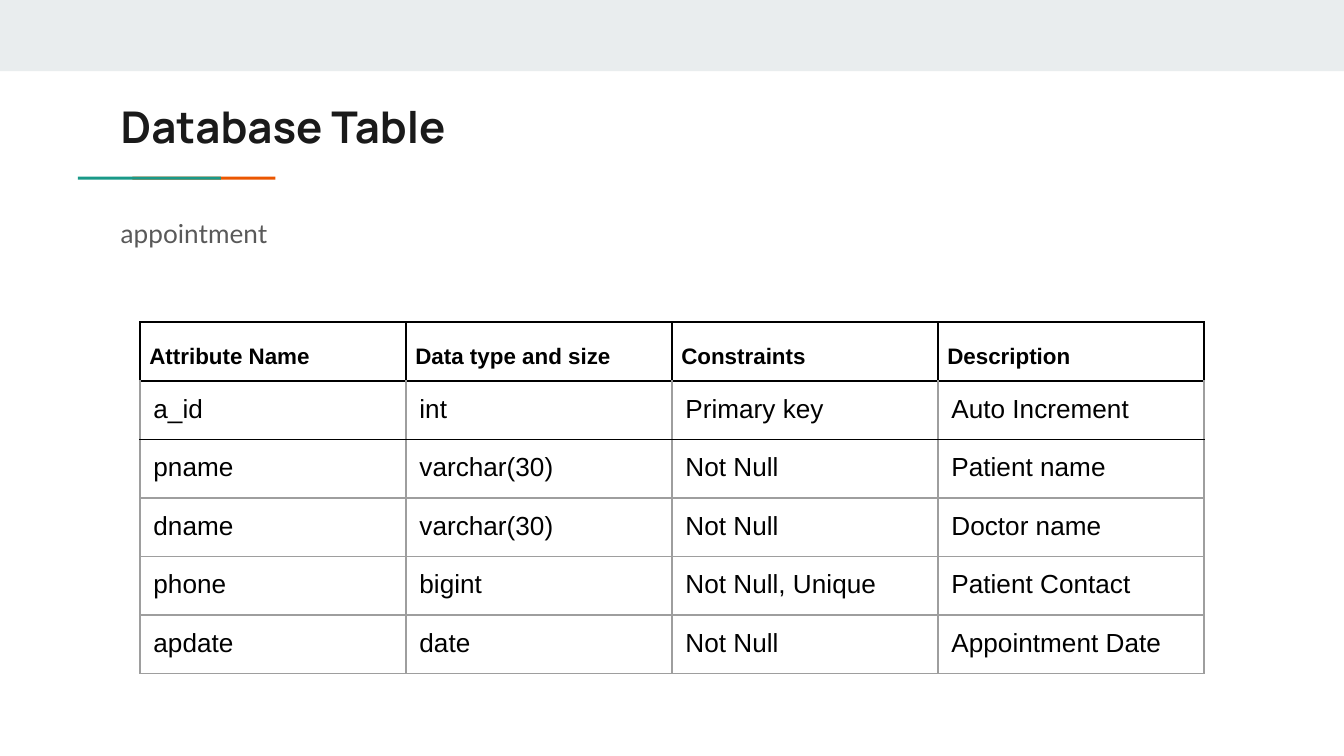
from lxml import etree
from pptx import Presentation
from pptx.dml.color import RGBColor
from pptx.enum.shapes import MSO_SHAPE
from pptx.enum.text import MSO_ANCHOR
from pptx.oxml.ns import qn
from pptx.util import Pt

RECTANGLE = MSO_SHAPE.RECTANGLE
TOP, MIDDLE = MSO_ANCHOR.TOP, MSO_ANCHOR.MIDDLE

COLORS = {
    "band": "E9EDEE", "teal": "1A9988", "orange": "EB5600", "title": "1A1A1A",
    "body": "595959", "black": "000000", "grid": "9E9E9E",
}

ROWS = [
    ["Attribute Name", "Data type and size", "Constraints", "Description"],
    ["a_id", "int", "Primary key", "Auto Increment"],
    ["pname", "varchar(30)", "Not Null", "Patient name"],
    ["dname", "varchar(30)", "Not Null", "Doctor name"],
    ["phone", "bigint", "Not Null, Unique", "Patient Contact"],
    ["apdate", "date", "Not Null", "Appointment Date"],
]
COLUMN_WIDTH, HEADER_HEIGHT, ROW_HEIGHT = 142.5, 30, 31.4


def rgb(name):
    return RGBColor.from_string(COLORS[name])


def write_text(frame, text, *, font, size, color, bold=False, spacing=1.0, after=0):
    para = frame.paragraphs[0]
    para.line_spacing = spacing
    para.space_after = Pt(after)
    span = para.add_run()
    span.text = text
    span.font.name, span.font.size, span.font.bold = font, Pt(size), bold
    span.font.color.rgb = rgb(color)


def set_margins(target, margin):
    target.margin_left = target.margin_right = Pt(margin)
    target.margin_top = target.margin_bottom = Pt(margin)


def add_bar(page, left, top, width, height, color):
    bar = page.shapes.add_shape(RECTANGLE, Pt(left), Pt(top), Pt(width), Pt(height))
    bar.shadow.inherit = False
    bar.fill.solid()
    bar.fill.fore_color.rgb = rgb(color)
    bar.line.fill.background()


def add_text(page, left, top, width, height, text, anchor=TOP, **text_format):
    box = page.shapes.add_textbox(Pt(left), Pt(top), Pt(width), Pt(height))
    frame = box.text_frame
    frame.word_wrap = True
    frame.vertical_anchor = anchor
    set_margins(frame, 7.2)
    write_text(frame, text, **text_format)


def set_borders(cell, sides):
    """Draw the borders given as (side, color, width), ahead of the cell fill."""
    properties = cell._tc.get_or_add_tcPr()
    for index, (side, color, width) in enumerate(sides):
        line = etree.Element(qn(f"a:ln{side}"), w=str(Pt(width)))
        fill = etree.SubElement(line, qn("a:solidFill"))
        etree.SubElement(fill, qn("a:srgbClr"), val=COLORS[color])
        properties.insert(index, line)


def add_attribute_table(page, left, top):
    height = HEADER_HEIGHT + ROW_HEIGHT * (len(ROWS) - 1)
    frame = page.shapes.add_table(len(ROWS), len(ROWS[0]), Pt(left), Pt(top),
                                  Pt(COLUMN_WIDTH * len(ROWS[0])), Pt(height))
    table = frame.table
    table.first_row = table.horz_banding = False
    for column in table.columns:
        column.width = Pt(COLUMN_WIDTH)
    for row_index, texts in enumerate(ROWS):
        header = row_index == 0
        table.rows[row_index].height = Pt(HEADER_HEIGHT if header else ROW_HEIGHT)
        for column_index, text in enumerate(texts):
            cell = table.cell(row_index, column_index)
            cell.fill.background()
            set_margins(cell, 5 if header else 7.2)
            write_text(cell.text_frame, text, font="Arial", color="black",
                       size=12 if header else 14, bold=header,
                       spacing=1.5 if header else 1.0)
            strong, normal = ("black", 1), ("grid", 0.75)
            # The header frame and the two rules below it are black
            black_sides = {0: "LRTB", 1: "TB", 2: "T"}.get(row_index, "")
            set_borders(cell, [(side, *(strong if side in black_sides else normal))
                               for side in "LRTB"])


def main():
    deck = Presentation()
    deck.slide_width, deck.slide_height = Pt(720), Pt(405)
    page = deck.slides.add_slide(deck.slide_layouts[6])

    # Top band and two-colour accent rule
    add_bar(page, 0, 0, 720, 38.2, "band")
    add_bar(page, 71, 94.7, 76.6, 1.6, "orange")
    add_bar(page, 41.8, 94.7, 76.6, 1.6, "teal")

    # Title and table name
    add_text(page, 57.6, 46.1, 605.5, 42.5, "Database Table", anchor=MIDDLE,
             font="Manrope", size=23.4, color="title", bold=True)
    add_text(page, 57.6, 106.6, 605.5, 271.4, "appointment",
             font="Lato", size=14, color="body", spacing=1.15, after=12)

    # Attribute table
    add_attribute_table(page, 75, 172.4)
    deck.save("out.pptx")


if __name__ == "__main__":
    main()
